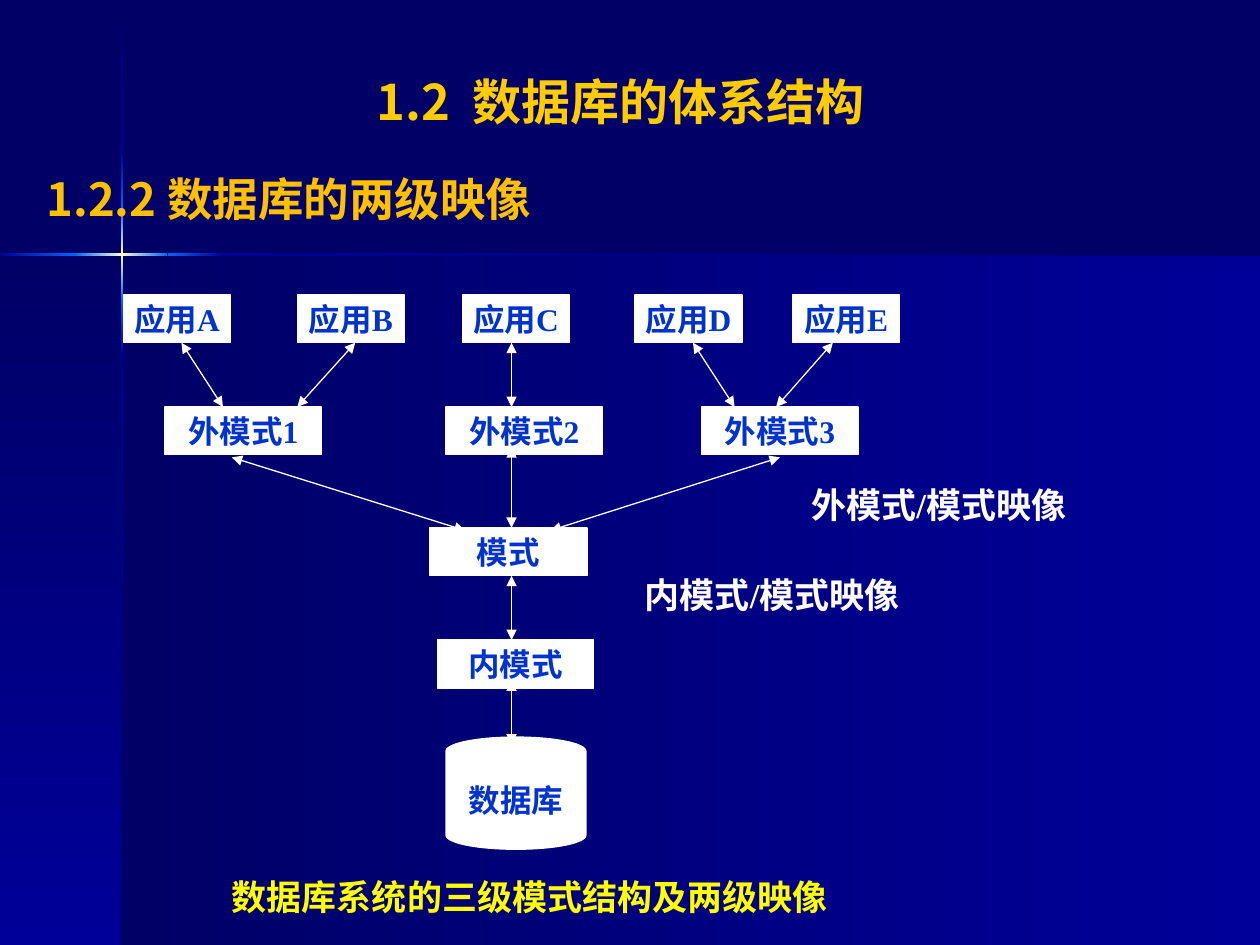
import copy

import pptx
import pptx.dml.color
import pptx.enum.shapes
import pptx.enum.text
import pptx.oxml.ns
import pptx.util
from lxml import etree

RGBColor = pptx.dml.color.RGBColor
SHAPE = pptx.enum.shapes.MSO_SHAPE
ALIGN = pptx.enum.text.PP_ALIGN
ANCHOR = pptx.enum.text.MSO_ANCHOR
qn = pptx.oxml.ns.qn

NAVY = RGBColor(0x00, 0x00, 0x66)
BLUE = RGBColor(0x00, 0x00, 0x99)
BRIGHT = RGBColor(0x00, 0x66, 0xFF)
CREAM = RGBColor(0xFF, 0xFF, 0xCC)
WHITE = RGBColor(0xFF, 0xFF, 0xFF)
LABEL_BLUE = RGBColor(0x00, 0x33, 0xCC)
YELLOW = RGBColor(0xFF, 0xFF, 0x00)
GOLD = RGBColor(0xFF, 0xCC, 0x00)
AMBER = RGBColor(0xFF, 0xC0, 0x00)

SANS = "Noto Sans CJK SC"
SERIF = "Times New Roman"
COLS, ROWS = 100, 75  # slide grid; one cell is a tenth of an inch


def cells(*counts):
    return [pptx.util.Inches(n / 10) for n in counts]


def write(shape, text, size, color, font=SERIF, align=ALIGN.CENTER,
          anchor=ANCHOR.TOP, wrap=True):
    tf = shape.text_frame
    tf.word_wrap = wrap
    tf.vertical_anchor = anchor
    tf.text = text
    p = tf.paragraphs[0]
    p.alignment = align
    for r in p.runs:
        r.font.size = pptx.util.Pt(size)
        r.font.bold = True
        r.font.name = font
        r.font.color.rgb = color
        ea = etree.SubElement(r.font._element, qn("a:ea"))
        ea.set("typeface", SANS)


def add_text(s, box, *args, **kwargs):
    write(s.shapes.add_textbox(*cells(*box)), *args, **kwargs)


def add_gradient(s, box, colors, vertical):
    """Place a borderless rectangle shaded evenly through the colours."""
    shape = s.shapes.add_shape(SHAPE.RECTANGLE, *cells(*box))
    shape.shadow.inherit = False
    shape.line.fill.background()
    shape.fill.gradient()
    shape.fill.gradient_angle = 270 if vertical else 0
    stops = shape._element.spPr.find(".//" + qn("a:gsLst"))
    for _ in colors[2:]:
        stops.append(copy.deepcopy(stops[0]))
    for i, (stop, color) in enumerate(zip(shape.fill.gradient_stops, colors)):
        stop.position = i / (len(colors) - 1)
        stop.color.rgb = color


def add_backdrop(s, box):
    """Draw two shaded panels and a glowing cross where they meet."""
    x, y, w, h = box
    cross_x, cross_y, thick = x + 9.7, y + 20.2, 0.2
    right, bottom = x + w, y + h
    add_gradient(s, (cross_x, cross_y, right - cross_x, bottom - cross_y),
                 [NAVY, BLUE], False)
    add_gradient(s, (x, cross_y, cross_x - x, bottom - cross_y),
                 [NAVY, BLUE], True)
    glow = [BRIGHT, CREAM, BRIGHT]
    beam_down = [(0.1, 12.1, [NAVY, BLUE]), (28.2, h, [BLUE, NAVY]),
                 (23.8, 28.2, [BRIGHT, BLUE]), (12.1, 16.5, [BLUE, BRIGHT]),
                 (16.5, 23.8, glow)]
    beam_across = [(17.7, w, [BLUE, NAVY]), (0, 6.1, [BLUE, BRIGHT]),
                   (13.3, 17.7, [BRIGHT, BLUE]), (6, 13.3, glow)]
    for start, end, colors in beam_down:
        add_gradient(s, (cross_x - thick / 2, y + start, thick, end - start),
                     colors, True)
    for start, end, colors in beam_across:
        add_gradient(s, (x + start, cross_y - thick / 2, end - start, thick),
                     colors, False)


def add_node(s, box, text, kind=SHAPE.RECTANGLE):
    shape = s.shapes.add_shape(kind, *cells(*box))
    shape.shadow.inherit = False
    shape.fill.solid()
    shape.fill.fore_color.rgb = WHITE
    shape.line.color.rgb = WHITE
    shape.line.width = pptx.util.Pt(0.75)
    write(shape, text, 18, LABEL_BLUE, anchor=ANCHOR.MIDDLE, wrap=False)


def add_double_arrow(s, *ends):
    line = s.shapes.add_connector(pptx.enum.shapes.MSO_CONNECTOR.STRAIGHT,
                                  *cells(*ends))
    line.line.color.rgb = WHITE
    line.line.width = pptx.util.Pt(0.75)
    for tag in ("a:headEnd", "a:tailEnd"):
        etree.SubElement(line.line._ln, qn(tag)).set("type", "triangle")
    etree.SubElement(line._element.spPr, qn("a:effectLst"))


def add_schema_diagram(s, box):
    """Draw the layers from applications down to the database."""
    x, y, w, h = box
    node_h, schema_w, app_w = 3.8, 12.4, 8.5
    external_y, schema_y, internal_y, database_y = 8.9, 18.5, 27.4, 35.1
    nodes = [(left, 0, app_w, f"应用{name}")
             for name, left in zip("ABCDE", (0, 13.8, 26.9, 40.6, 53.1))]
    nodes += [(left, external_y, schema_w, f"外模式{i}")
              for i, left in enumerate((3.3, 25.6, 45.9), 1)]
    nodes += [(24.3, schema_y, 12.5, "模式"),
              (24.9, internal_y, schema_w, "内模式")]
    for left, top, width, text in nodes:
        add_node(s, (x + left, y + top, width, node_h), text)
    add_node(s, (x + 25.6, y + database_y, 11.1, h - database_y), "数据库",
             SHAPE.CAN)

    axis = 30.8
    arrows = [(start, node_h, end, external_y) for start, end in
              ((4.6, 7.9), (18.4, 13.8), (axis, axis), (45.2, 48.5),
               (56.3, 51.8))]
    arrows += [(axis, 12.1, axis, schema_y),
               (axis, schema_y + node_h, axis, internal_y),
               (axis, 30.6, axis, 35.7),
               (52.1, 12.9, 33.9, 18.7), (8.6, 12.9, 27.1, 18.7)]
    for x1, y1, x2, y2 in arrows:
        add_double_arrow(s, x + x1, y + y1, x + x2, y + y2)

    for left, top, width, text in ((50.3, 14.5, 28.8, "外模式/模式映像"),
                                   (38.3, 21.6, 26.4, "内模式/模式映像")):
        add_text(s, (x + left, y + top, width, 4.4), text, 20, WHITE)


def add_headings(s, box):
    x, y, w, h = box
    title = s.shapes.title
    title.left, title.top, title.width, title.height = cells(
        x + 4, y, 85.1, 5.7)
    write(title, "1.2  数据库的体系结构", 28, GOLD, SANS)
    add_text(s, (x, y + 7.9, w, h - 7.9), "1.2.2 数据库的两级映像", 26,
             AMBER, SANS, ALIGN.LEFT)


def main():
    prs = pptx.Presentation()
    prs.slide_width, prs.slide_height = cells(COLS, ROWS)
    s = prs.slides.add_slide(prs.slide_layouts[5])
    s.background.fill.solid()
    s.background.fill.fore_color.rgb = NAVY
    add_backdrop(s, (0, 0, COLS, ROWS))
    add_schema_diagram(s, (9.8, 23.4, 79.1, 44))
    add_text(s, (9, 69, 66.1, 4.4), "数据库系统的三级模式结构及两级映像", 20,
             YELLOW, SANS)
    add_headings(s, (2.7, 5.2, 89.8, 13.3))
    prs.save("out.pptx")


if __name__ == "__main__":
    main()
